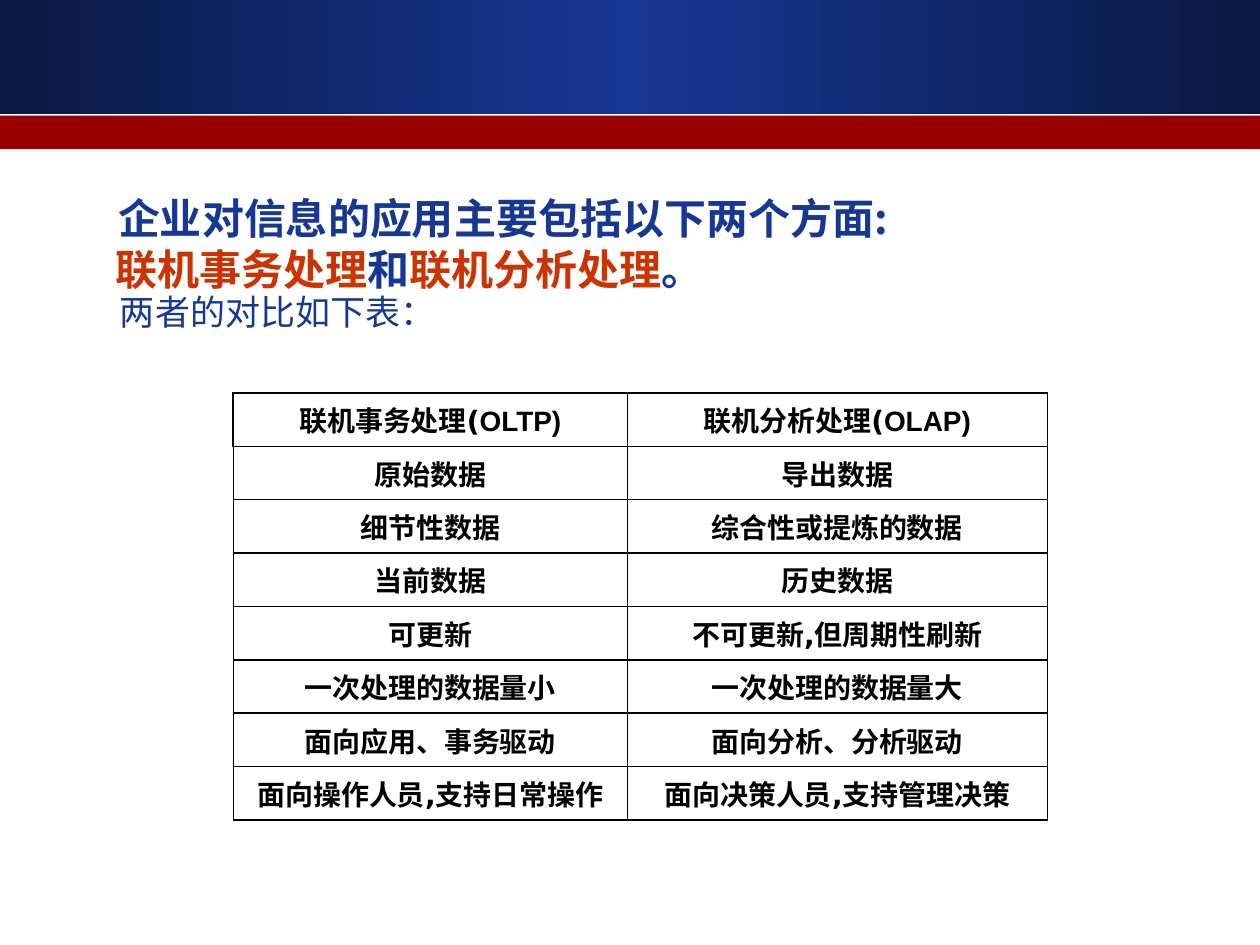
from copy import deepcopy

from lxml import etree
from pptx import Presentation
from pptx.dml.color import RGBColor
from pptx.enum.shapes import MSO_SHAPE
from pptx.enum.text import MSO_ANCHOR, PP_ALIGN
from pptx.oxml.ns import qn
from pptx.util import Cm, Pt

RECTANGLE = MSO_SHAPE.RECTANGLE
MIDDLE = MSO_ANCHOR.MIDDLE
CENTER = PP_ALIGN.CENTER

NAVY = RGBColor(0x0A, 0x19, 0x44)
BLUE = RGBColor(0x16, 0x37, 0x94)
DARK_RED = RGBColor(0x99, 0x00, 0x00)
ORANGE = RGBColor(0xCC, 0x33, 0x00)
BLACK = RGBColor(0x00, 0x00, 0x00)

CHINESE_FONT = "Noto Sans CJK SC"


def add_span(para, text, font, color=None):
    span = para.add_run()
    span.text = text
    span.font.name = font
    if color is not None:
        span.font.color.rgb = color
    east_asian = etree.SubElement(span.font._element, qn("a:ea"))
    east_asian.set("typeface", CHINESE_FONT)


def set_border(cell, position, side, width):
    line = etree.Element(qn(f"a:ln{side}"), w=str(Pt(width)))
    solid = etree.SubElement(line, qn("a:solidFill"))
    etree.SubElement(solid, qn("a:srgbClr"), val=str(BLACK))
    cell._tc.get_or_add_tcPr().insert(position, line)


deck = Presentation()
deck.slide_width = Cm(25.4)
deck.slide_height = Cm(19.05)
page = deck.slides.add_slide(deck.slide_layouts[6])

# Header bands
blue_band = page.shapes.add_shape(RECTANGLE, 0, 0, deck.slide_width, Cm(2.31))
red_band = page.shapes.add_shape(RECTANGLE, 0, Cm(2.33), deck.slide_width, Cm(0.68))
for band in (blue_band, red_band):
    band.shadow.inherit = False
    band.line.fill.background()
red_band.fill.solid()
red_band.fill.fore_color.rgb = DARK_RED

# Gradient that is dark at both ends
blue_band.fill.gradient()
blue_band.fill.gradient_angle = 0
stop_list = blue_band._element.spPr.find(qn("a:gradFill")).find(qn("a:gsLst"))
stop_list.insert(1, deepcopy(stop_list[0]))
for stop, position, color in zip(blue_band.fill.gradient_stops, (0, 0.5, 1), (NAVY, BLUE, NAVY)):
    stop.position = position
    stop.color.rgb = color

# Introduction: size, bold, line height, indent, spans
INTRO = [
    (24, True, 31.5, 0.43, [("企业对信息的应用主要包括以下两个方面:", BLUE)]),
    (24, True, 29, 0.38, [("联机事务处理", ORANGE), ("和", BLUE),
                          ("联机分析处理", ORANGE), ("。", BLUE)]),
    (20, False, 22, 0.47, [("两者的对比如下表：", BLUE)]),
]
box = page.shapes.add_textbox(Cm(1.7), Cm(3.66), Cm(22.4), Cm(3.18))
frame = box.text_frame
frame.word_wrap = True
frame.vertical_anchor = MIDDLE
for number, (size, bold, height, indent, spans) in enumerate(INTRO):
    para = frame.add_paragraph() if number else frame.paragraphs[0]
    para._p.get_or_add_pPr().set("marL", str(Cm(indent)))
    para.line_spacing = Pt(height)
    para.font.size = Pt(size)
    para.font.bold = bold
    for text, color in spans:
        add_span(para, text, CHINESE_FONT, color)

# Comparison table
ROWS = [
    ("联机事务处理(OLTP)", "联机分析处理(OLAP)"),
    ("原始数据", "导出数据"),
    ("细节性数据", "综合性或提炼的数据"),
    ("当前数据", "历史数据"),
    ("可更新", "不可更新,但周期性刷新"),
    ("一次处理的数据量小", "一次处理的数据量大"),
    ("面向应用、事务驱动", "面向分析、分析驱动"),
    ("面向操作人员,支持日常操作", "面向决策人员,支持管理决策"),
]
table = page.shapes.add_table(len(ROWS), 2, Cm(4.7), Cm(7.92), Cm(16.41), Cm(8.61)).table
table.first_row = False
table.horz_banding = False
table.columns[0].width = Cm(7.95)
table.columns[1].width = Cm(8.46)

for row, texts in enumerate(ROWS):
    for column, text in enumerate(texts):
        cell = table.cell(row, column)
        cell.fill.background()
        cell.vertical_anchor = MIDDLE
        left = 0.75 if column == 0 and row > 0 else 1
        right = 0.75 if column == 1 else 1
        for position, (side, width) in enumerate(zip("LRTB", (left, right, 1, 1))):
            set_border(cell, position, side, width)

        para = cell.text_frame.paragraphs[0]
        para.alignment = CENTER
        properties = para._p.get_or_add_pPr()
        properties.set("marL", str(Cm(0.97)))
        properties.set("indent", str(-Cm(0.97)))
        para.font.size = Pt(16)
        para.font.bold = True
        para.font.color.rgb = BLACK
        # Punctuation has its own font, and so has the Latin text after a bracket
        mark = "(" if "(" in text else ","
        before, found, after = text.partition(mark)
        add_span(para, before, "Lato")
        if found:
            add_span(para, found, "DejaVu Sans")
            add_span(para, after, "Arial" if mark == "(" else "Lato")

deck.save("out.pptx")
